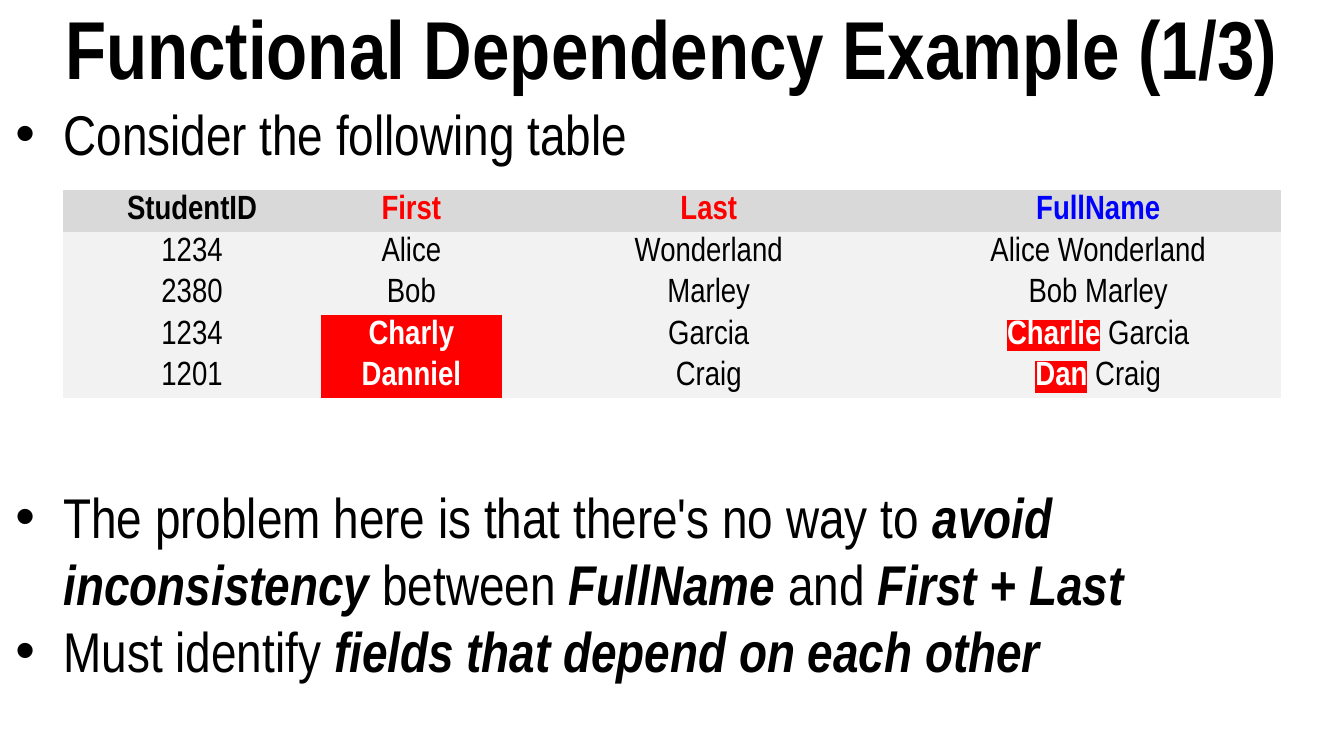
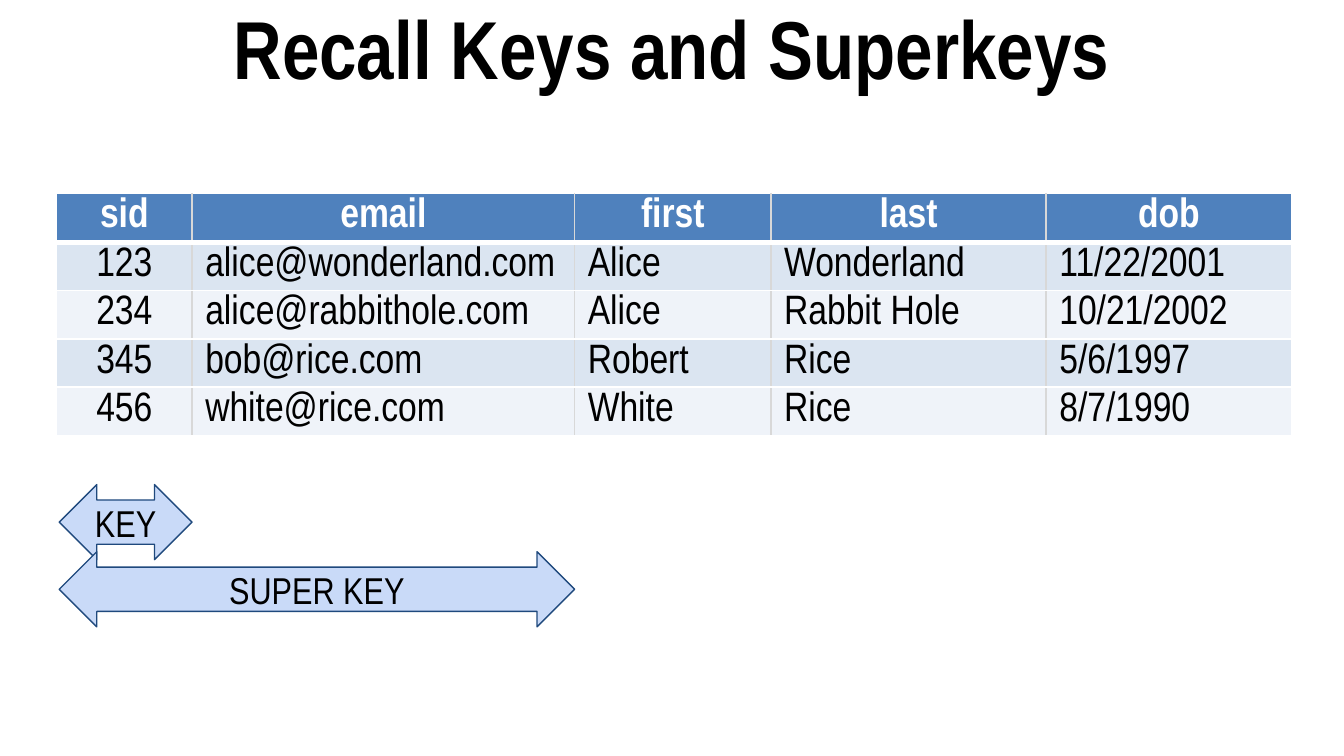
from lxml import etree
from pptx import Presentation
from pptx.dml.color import RGBColor
from pptx.enum import shapes, text
from pptx.oxml import ns
from pptx.util import Cm, Pt

# Shared look
FONT = "Arial Narrow"
BLACK, WHITE, RED, BLUE = "000000", "FFFFFF", "FF0000", "0000FF"
GRID = "D8D8D8"
SLIDE_WIDTH, SLIDE_HEIGHT, TITLE_HEIGHT = 25.4, 14.29, 1.75
NO_STYLE = "{2D5ABB26-0587-4C30-8999-92F81FD0307C}"
LEFT, CENTER = text.PP_ALIGN.LEFT, text.PP_ALIGN.CENTER
TOP, MIDDLE = text.MSO_ANCHOR.TOP, text.MSO_ANCHOR.MIDDLE

STRONG = {"bold": True, "italic": True}
MARKED = {"bold": True, "color": WHITE, "highlight": RED}

# Content
NAME_COLUMNS = [4.88, 3.41, 7.83, 6.89]
NAME_HEADER = [("StudentID", BLACK), ("First", RED), ("Last", RED), ("FullName", BLUE)]
NAME_ROWS = [
    ["1234", "Alice", "Wonderland", "Alice Wonderland"],
    ["2380", "Bob", "Marley", "Bob Marley"],
    ["1234", [("Charly", MARKED)], "Garcia", [("Charlie", MARKED), " Garcia"]],
    ["1201", [("Danniel", MARKED)], "Craig", [("Dan", MARKED), " Craig"]],
]
KEY_COLUMNS = [2.56, 7.23, 3.71, 5.2, 4.64]
KEY_HEADER = ["sid", "email", "first", "last", "dob"]
KEY_ROWS = [
    ["123", "alice@wonderland.com", "Alice", "Wonderland", "11/22/2001"],
    ["234", "alice@rabbithole.com", "Alice", "Rabbit Hole", "10/21/2002"],
    ["345", "bob@rice.com", "Robert", "Rice", "5/6/1997"],
    ["456", "white@rice.com", "White", "Rice", "8/7/1990"],
]
KEY_SPARE_ROWS = 3


def rgb(value):
    return RGBColor.from_string(value)


def add_element(parent, tag, **attributes):
    return etree.SubElement(parent, ns.qn(tag), attributes)


# Text
def add_run(paragraph, content, size=18, color=BLACK, bold=False, italic=False,
            highlight=None):
    run = paragraph.add_run()
    run.text = content
    font = run.font
    font.size, font.bold, font.italic = Pt(size), bold, italic
    font.color.rgb = rgb(color)
    if highlight:
        mark = add_element(font._element, "a:highlight")
        add_element(mark, "a:srgbClr", val=highlight)
    font.name = FONT


def write(paragraph, content, align=LEFT, **style):
    """Write a string, or a list of strings and (string, format) pairs."""
    paragraph.alignment = align
    for part in [content] if isinstance(content, str) else content:
        words, changes = (part, {}) if isinstance(part, str) else part
        add_run(paragraph, words, **{**style, **changes})


def set_frame(frame, anchor, horizontal, vertical):
    frame.word_wrap = True
    frame.vertical_anchor = anchor
    frame.margin_left = frame.margin_right = Cm(horizontal)
    frame.margin_top = frame.margin_bottom = Cm(vertical)


def add_text_box(slide, top, height, anchor):
    box = slide.shapes.add_textbox(0, Cm(top), Cm(SLIDE_WIDTH), Cm(height))
    set_frame(box.text_frame, anchor, 0.25, 0.13)
    return box.text_frame


def add_title(slide, title):
    frame = add_text_box(slide, 0, TITLE_HEIGHT, MIDDLE)
    write(frame.paragraphs[0], title, align=CENTER, size=44, bold=True)


def add_bullets(slide, bullets):
    """Add bullets given as (space before in points, content)."""
    frame = add_text_box(slide, TITLE_HEIGHT, SLIDE_HEIGHT - TITLE_HEIGHT, TOP)
    for index, (space, content) in enumerate(bullets):
        paragraph = frame.add_paragraph() if index else frame.paragraphs[0]
        properties = paragraph._p.get_or_add_pPr()
        properties.set("marL", str(Cm(0.95)))
        properties.set("indent", str(-Cm(0.91)))
        add_element(properties, "a:buFont", typeface="Arial")
        add_element(properties, "a:buChar", char="•")
        paragraph.space_before = Pt(space)
        write(paragraph, content, size=30)


# Tables
def add_table(slide, left, top, columns, row_count, row_height):
    frame = slide.shapes.add_table(row_count, len(columns), Cm(left), Cm(top),
                                   Cm(sum(columns)), Cm(row_height * row_count))
    table = frame.table
    table.horz_banding = False
    table._tbl.tblPr.find(ns.qn("a:tableStyleId")).text = NO_STYLE
    for column, width in zip(table.columns, columns):
        column.width = Cm(width)
    return table


def fill_cell(cell, content, fill, anchor=TOP, size=18, **style):
    cell.fill.solid()
    cell.fill.fore_color.rgb = rgb(fill)
    cell.vertical_anchor = anchor
    cell.margin_left = cell.margin_right = Cm(0.25)
    cell.margin_top = cell.margin_bottom = Cm(0.1)
    paragraph = cell.text_frame.paragraphs[0]
    paragraph.line_spacing = Pt(size * 0.92)
    write(paragraph, content, size=size, **style)


def set_borders(cell, **borders):
    """Set borders given in the order L, R, T, B as (colour, points)."""
    properties = cell._tc.get_or_add_tcPr()
    for index, (side, (color, width)) in enumerate(borders.items()):
        line = etree.Element(ns.qn("a:ln" + side), w=str(Pt(width)))
        add_element(add_element(line, "a:solidFill"), "a:srgbClr", val=color)
        properties.insert(index, line)


def add_name_table(slide):
    table = add_table(slide, 1.19, 3.6, NAME_COLUMNS, len(NAME_ROWS) + 1, 0.64)
    for column, (label, color) in enumerate(NAME_HEADER):
        fill_cell(table.cell(0, column), label, "D9D9D9", anchor=MIDDLE,
                  align=CENTER, color=color, bold=True)
    for row, values in enumerate(NAME_ROWS, 1):
        for column, value in enumerate(values):
            fully_marked = isinstance(value, list) and len(value) == 1
            fill_cell(table.cell(row, column), value, RED if fully_marked else "F2F2F2",
                      anchor=MIDDLE, align=CENTER)


def add_key_table(slide, left):
    rows = [KEY_HEADER] + KEY_ROWS
    table = add_table(slide, left, 3.66, KEY_COLUMNS, len(rows) + KEY_SPARE_ROWS, 0.76)
    last = len(KEY_COLUMNS) - 1
    for row, values in enumerate(rows):
        header = row == 0
        fill = "4F81BD" if header else ("EFF3F9", "DBE5F1")[row % 2]
        for column, value in enumerate(values):
            cell = table.cell(row, column)
            fill_cell(cell, value, fill, size=22, bold=header,
                      color=WHITE if header else BLACK,
                      align=CENTER if header or column == 0 else LEFT)
            set_borders(cell,
                        L=(GRID if column else WHITE, 1),
                        R=(GRID if column < last else WHITE, 1),
                        T=(WHITE, 1),
                        B=(WHITE, 3 if header else 1))
    # Blank rows left open below the data
    for row in range(len(rows), len(rows) + KEY_SPARE_ROWS):
        for column in range(len(KEY_COLUMNS)):
            fill_cell(table.cell(row, column), [], WHITE)


# Arrows
def add_span_arrow(slide, label, left, top, width):
    arrow = slide.shapes.add_shape(shapes.MSO_SHAPE.LEFT_RIGHT_ARROW, Cm(left), Cm(top),
                                   Cm(width), Cm(1.42))
    arrow.adjustments[0], arrow.adjustments[1] = 0.59, 0.5
    arrow.shadow.inherit = False
    arrow.fill.solid()
    arrow.fill.fore_color.rgb = rgb("C9DAF8")
    arrow.line.color.rgb = rgb("1F497D")
    arrow.line.width = Pt(0.75)
    set_frame(arrow.text_frame, MIDDLE, 0.25, 0.25)
    write(arrow.text_frame.paragraphs[0], label, align=CENTER, size=20)


# Slides
def build_example(slide):
    add_title(slide, "Functional Dependency Example (1/3)")
    add_bullets(slide, [
        (0, "Consider the following table"),
        (169.2, ["The problem here is that there's no way to ",
                 ("avoid inconsistency", STRONG), " between ", ("FullName", STRONG),
                 " and ", ("First + Last", STRONG)]),
        (0, ["Must identify ", ("fields that depend on each other", STRONG)]),
    ])
    add_name_table(slide)


def build_keys(slide):
    table_left, arrow_left = 1.07, 1.12
    add_key_table(slide, table_left)
    # Each arrow ends at the right edge of the columns it covers
    for label, covered, top in [("KEY", 1, 9.16), ("SUPER KEY", 2, 10.43)]:
        right = table_left + sum(KEY_COLUMNS[:covered])
        add_span_arrow(slide, label, arrow_left, top, right - arrow_left)
    add_title(slide, "Recall Keys and Superkeys")


def main():
    presentation = Presentation()
    presentation.slide_width = Cm(SLIDE_WIDTH)
    presentation.slide_height = Cm(SLIDE_HEIGHT)
    for build in (build_example, build_keys):
        build(presentation.slides.add_slide(presentation.slide_layouts[6]))
    presentation.save("out.pptx")


if __name__ == "__main__":
    main()
